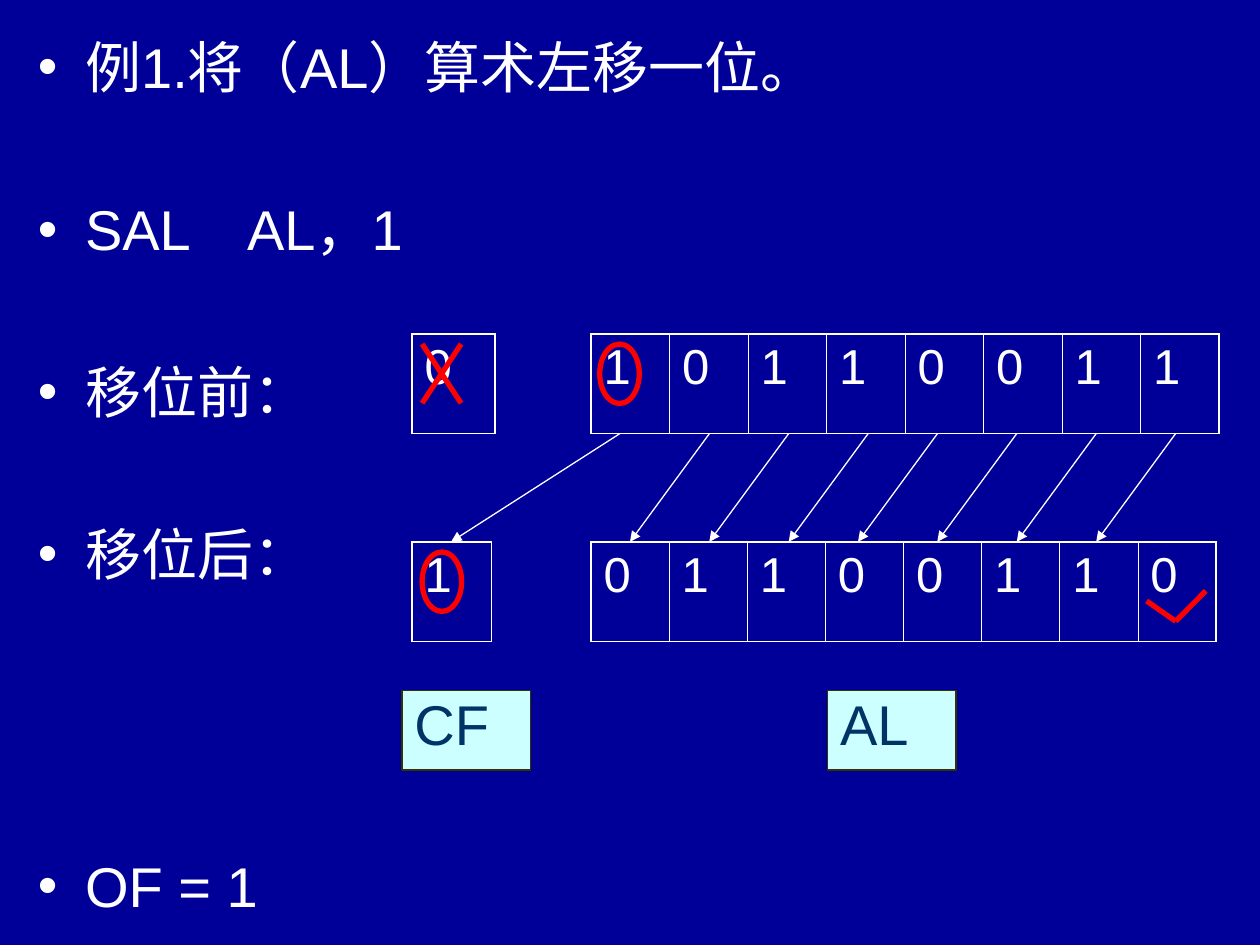
from lxml.etree import SubElement
from pptx import Presentation
from pptx.dml.color import RGBColor
from pptx.enum.shapes import MSO_CONNECTOR, MSO_SHAPE
from pptx.enum.text import MSO_ANCHOR, MSO_AUTO_SIZE, PP_ALIGN
from pptx.oxml.ns import qn
from pptx.util import Pt

NAVY = RGBColor(0x00, 0x00, 0x99)
WHITE = RGBColor(0xFF, 0xFF, 0xFF)
RED = RGBColor(0xFF, 0x00, 0x00)
CYAN = RGBColor(0xCC, 0xFF, 0xFF)
OLIVE = RGBColor(0x33, 0x33, 0x00)
TEAL = RGBColor(0x00, 0x33, 0x66)

deck = Presentation()
deck.slide_width, deck.slide_height = Pt(720), Pt(540)
slide = deck.slides.add_slide(deck.slide_layouts[1])
slide.background.fill.solid()
slide.background.fill.fore_color.rgb = NAVY
shapes = slide.shapes
title = shapes.title.element
title.getparent().remove(title)


def style(par, size, color):
    for run in par.runs:
        run.font.name = "Arial"
        run.font.size = Pt(size)
        run.font.color.rgb = color


def draw_line(x1, y1, x2, y2, color, width):
    line = shapes.add_connector(
        MSO_CONNECTOR.STRAIGHT, Pt(x1), Pt(y1), Pt(x2), Pt(y2))
    line.line.color.rgb = color
    line.line.width = Pt(width)
    SubElement(line.element.spPr, qn("a:effectLst"))
    return line


# Bullet list
body = slide.placeholders[1]
body.left, body.top, body.width, body.height = Pt(14.4), Pt(15), Pt(692), Pt(510.5)
frame = body.text_frame
frame.auto_size = MSO_AUTO_SIZE.NONE
items = [
    ("例1.将（AL）算术左移一位。", 8),
    ("SAL　AL，1", 54.4),
    ("移位前：", 54.4),
    ("移位后：", 54.4),
    ("OF = 1", 151),
]
for i, (text, gap) in enumerate(items):
    par = frame.add_paragraph() if i else frame.paragraphs[0]
    par.text = text
    par.space_before = Pt(gap)
    style(par, 32, WHITE)

# Bit registers before and after the shift
before, after, high = 190.8, 309.6, 57
left_cf, left_al = 235.4, 337.7
registers = [
    ("10110011", left_al, before, 44.9),
    ("0", left_cf, before, 47.5),
    ("1", left_cf, after, 45.4),
    ("01100110", left_al, after, 44.65),
]
for bits, left, top, wide in registers:
    last = len(bits) - 1
    table = shapes.add_table(1, len(bits), Pt(left), Pt(top),
                             Pt(wide * len(bits)), Pt(high)).table
    table.first_row = table.horz_banding = False
    for i, bit in enumerate(bits):
        table.columns[i].width = Pt(wide)
        cell = table.cell(0, i)
        cell.text = bit
        style(cell.text_frame.paragraphs[0], 28, WHITE)
        props = cell._tc.get_or_add_tcPr()
        edges = {"lnL": i == 0, "lnR": i == last, "lnT": True, "lnB": True}
        for tag, outer in edges.items():
            edge = SubElement(props, qn(f"a:{tag}"), w=str(Pt(1.08 if outer else 0.45)))
            fill = SubElement(edge, qn("a:solidFill"))
            SubElement(fill, qn("a:srgbClr"), val=str(WHITE))
        cell.fill.background()

# Register labels
for name, left in [("CF", 229.7), ("AL", 473)]:
    box = shapes.add_shape(MSO_SHAPE.RECTANGLE, Pt(left), Pt(394.6), Pt(73.4), Pt(45.4))
    box.shadow.inherit = False
    box.fill.solid()
    box.fill.fore_color.rgb = CYAN
    box.line.color.rgb = OLIVE
    box.line.width = Pt(0.75)
    box.text_frame.text = name
    box.text_frame.vertical_anchor = MSO_ANCHOR.TOP
    par = box.text_frame.paragraphs[0]
    par.alignment = PP_ALIGN.LEFT
    par.line_spacing = 0.9
    style(par, 32, TEAL)

# Shift arrows: the top bit goes to CF, the others move one place left
moves = [(354.2, 257.8)]
moves += [(x, x - 45.4) for x in (405.4, 450.7, 496.1, 535.7, 581, 626.4, 671.8)]
for start, end in moves:
    arrow = draw_line(start, before + high, end, after, WHITE, 0.75)
    SubElement(arrow.line._get_or_add_ln(), qn("a:tailEnd"), type="triangle")

# Red cross on the old CF, tick on the new low bit
marks = [
    (241.2, 196.6, 263.5, 230.4),
    (263.5, 196.6, 241.2, 230.4),
    (655.2, 343.4, 671.8, 355),
    (671.8, 355, 689, 337.7),
]
for mark in marks:
    draw_line(*mark, RED, 3)

# Rings round the bit that moves into CF
for left, top in [(342.7, 196.6), (241.2, 315.4)]:
    ring = shapes.add_shape(MSO_SHAPE.OVAL, Pt(left), Pt(top), Pt(22.6), Pt(34))
    ring.shadow.inherit = False
    ring.fill.background()
    ring.line.color.rgb = RED
    ring.line.width = Pt(3)

deck.save("out.pptx")
